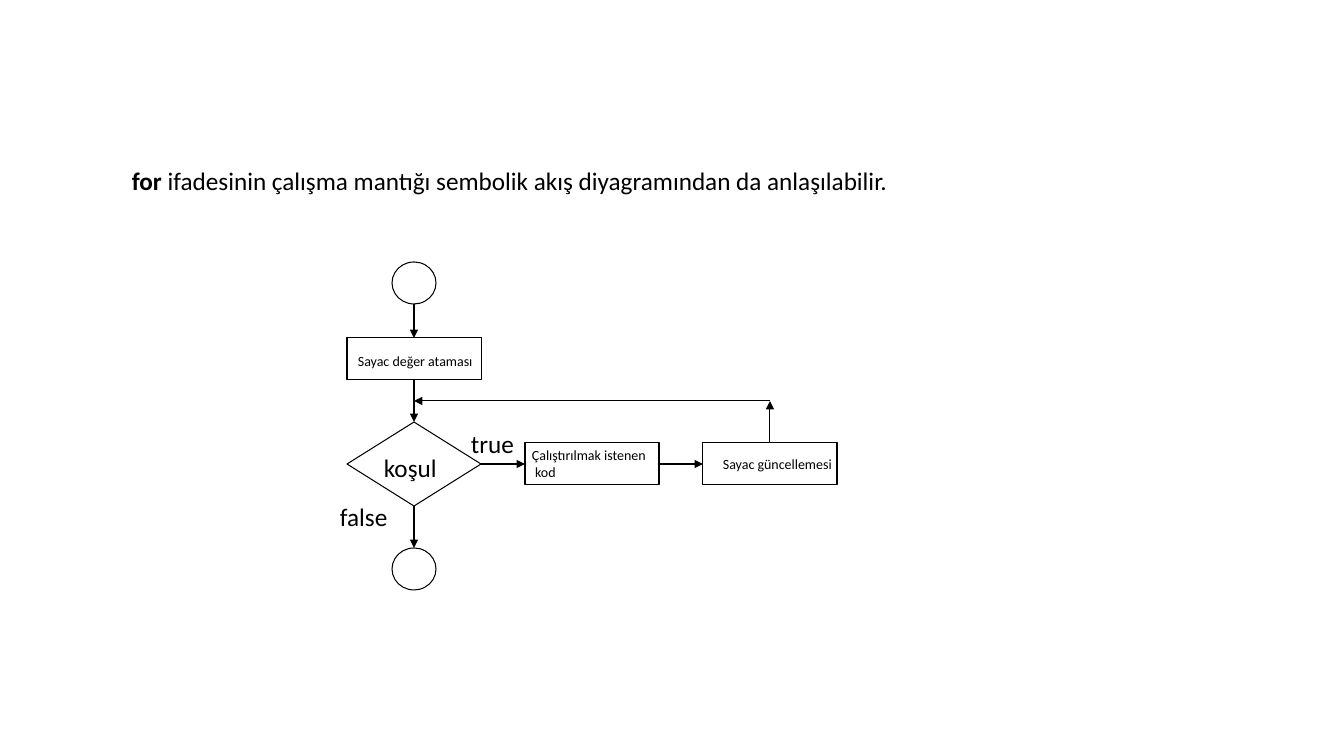
import pptx
import pptx.util
import pptx.dml.color
import pptx.enum.shapes
import pptx.enum.text
import pptx.oxml
import pptx.oxml.ns
from dataclasses import dataclass

SHAPE = pptx.enum.shapes.MSO_SHAPE
TOP, LEFT, BOTTOM, RIGHT = range(4)


@dataclass(frozen=True)
class Theme:
    ink: pptx.dml.color.RGBColor = pptx.dml.color.RGBColor(0, 0, 0)
    paper: pptx.dml.color.RGBColor = pptx.dml.color.RGBColor(255, 255, 255)
    font: str = "Calibri"
    large: int = 18
    small: int = 10
    line: float = 0.75


THEME = Theme()


def px(count):
    return round(count * 914400 / 100.8)


def apply(target, values):
    for name, value in values.items():
        setattr(target, name, value)


def write(slide, box, lines, size, wrap=False):
    frame = slide.shapes.add_textbox(*map(px, box)).text_frame
    apply(frame, {
        "word_wrap": wrap,
        "auto_size": pptx.enum.text.MSO_AUTO_SIZE.SHAPE_TO_FIT_TEXT,
    })
    for row, runs in enumerate(lines):
        para = frame.add_paragraph() if row else frame.paragraphs[0]
        for text, bold in runs:
            run = para.add_run()
            run.text = text
            apply(run.font, {"name": THEME.font, "bold": bold,
                             "size": pptx.util.Pt(size)})
            run.font.color.rgb = THEME.ink


def stroke(line):
    line.color.rgb = THEME.ink
    line.width = pptx.util.Pt(THEME.line)


def node(slide, kind, box):
    shape = slide.shapes.add_shape(kind, *map(px, box))
    shape.shadow.inherit = False
    shape.fill.solid()
    shape.fill.fore_color.rgb = THEME.paper
    stroke(shape.line)
    return shape


def arrow(slide, start, end, source=None, target=None):
    link = slide.shapes.add_connector(
        pptx.enum.shapes.MSO_CONNECTOR.STRAIGHT, *map(px, start + end))
    stroke(link.line)
    head = pptx.oxml.parse_xml(
        '<a:tailEnd %s type="triangle"/>' % pptx.oxml.ns.nsdecls("a"))
    link.line._get_or_add_ln().append(head)
    link._element.spPr.append(pptx.oxml.parse_xml(
        "<a:effectLst %s/>" % pptx.oxml.ns.nsdecls("a")))
    if source:
        link.begin_connect(*source)
    if target:
        link.end_connect(*target)


def title(slide, box):
    runs = [("for ", True), ("ifadesinin çalışma mantığı sembolik akış "
                             "diyagramından da anlaşılabilir.", False)]
    write(slide, box, [runs], THEME.large, True)


def flow(slide, box):
    left, top, width, height = box
    wide, tall, dot = 134, 42, 44
    step = (width - wide) // 2
    mid = left + wide // 2
    last = mid + 2 * step
    first = top + 76
    test = top + 160
    side = test + tall // 2
    axis = test + tall
    back = test - tall // 2
    final = top + height - tall

    begin, finish = [
        node(slide, SHAPE.FLOWCHART_CONNECTOR, (mid - dot // 2, y, dot, tall))
        for y in (top, final)]
    assign, code, update = [
        node(slide, SHAPE.FLOWCHART_PROCESS, (left + col * step, y, wide, tall))
        for col, y in ((0, first), (1, side), (2, side))]
    check = node(slide, SHAPE.FLOWCHART_DECISION, (left, test, wide, 2 * tall))

    arrow(slide, (mid, top + tall), (mid, first), None, (assign, TOP))
    arrow(slide, (mid, first + tall), (mid, test),
          (assign, BOTTOM), (check, TOP))
    arrow(slide, (mid, test + 2 * tall), (mid, final),
          (check, BOTTOM), (finish, TOP))
    arrow(slide, (left + wide, axis), (left + step, axis),
          (check, RIGHT), (code, LEFT))
    arrow(slide, (left + step + wide, axis), (left + 2 * step, axis),
          (code, RIGHT), (update, LEFT))
    arrow(slide, (last, side), (last, back), (update, TOP))
    arrow(slide, (last, back), (mid, back))

    labels = [
        (175, 180, 136, 44, THEME.small, ["Çalıştırılmak istenen", " kod"]),
        (366, 189, 131, 27, THEME.small, ["Sayac güncellemesi"]),
        (1, 86, 137, 27, THEME.small, ["Sayac değer ataması"]),
        (27, 185, 74, 40, THEME.large, ["koşul"]),
        (114, 161, 64, 40, THEME.large, ["true"]),
        (-17, 234, 69, 40, THEME.large, ["false"]),
    ]
    for x, y, w, h, size, lines in labels:
        write(slide, (left + x, top + y, w, h),
              [[(text, False)] for text in lines], size)


def main():
    deck = pptx.Presentation()
    apply(deck, {"slide_width": px(1344), "slide_height": px(756)})
    slide = deck.slides.add_slide(deck.slide_layouts[6])
    title(slide, (122, 160, 1005, 40))
    flow(slide, (347, 262, 490, 328))
    deck.save("out.pptx")


if __name__ == "__main__":
    main()
